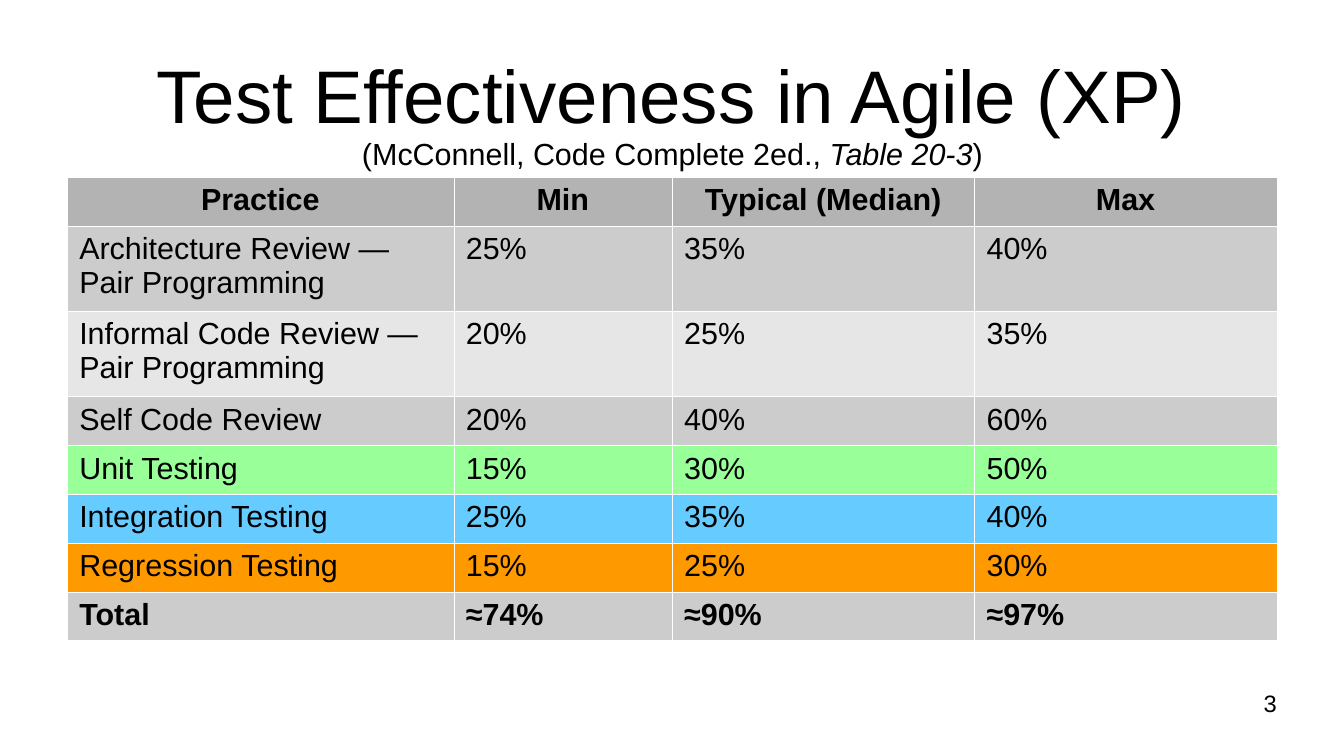
from lxml.etree import SubElement
from pptx import Presentation
from pptx.dml.color import RGBColor
from pptx.enum.text import MSO_ANCHOR, PP_ALIGN
from pptx.oxml.ns import qn
from pptx.util import Inches, Pt

FONT = "Arial"
BLACK = RGBColor(0x00, 0x00, 0x00)
HEADER_GRAY = RGBColor(0xB3, 0xB3, 0xB3)
GRAY = RGBColor(0xCC, 0xCC, 0xCC)
LIGHT_GRAY = RGBColor(0xE6, 0xE6, 0xE6)
GREEN = RGBColor(0x99, 0xFF, 0x99)
BLUE = RGBColor(0x66, 0xCC, 0xFF)
ORANGE = RGBColor(0xFF, 0x99, 0x00)
BORDER_HEX = "FFFFFF"
BORDER_WIDTH = Pt(0.06)

TITLE = "Test Effectiveness in Agile (XP)"
CITATION = [("(McConnell, Code Complete 2ed., ", False), ("Table 20-3", True), (")", False)]
PAGE_NUMBER = "3"

# fill, row height in inches, cell texts
ROWS = [
    (HEADER_GRAY, 0.4, ("Practice", "Min", "Typical (Median)", "Max")),
    (GRAY, 0.7, ("Architecture Review — Pair Programming", "25%", "35%", "40%")),
    (LIGHT_GRAY, 0.7, ("Informal Code Review — Pair Programming", "20%", "25%", "35%")),
    (GRAY, 0.4, ("Self Code Review", "20%", "40%", "60%")),
    (GREEN, 0.4, ("Unit Testing", "15%", "30%", "50%")),
    (BLUE, 0.4, ("Integration Testing", "25%", "35%", "40%")),
    (ORANGE, 0.4, ("Regression Testing", "15%", "25%", "30%")),
    (GRAY, 0.4, ("Total", "≈74%", "≈90%", "≈97%")),
]
COLUMN_WIDTHS = (3.17, 1.79, 2.48, 2.48)
LEFT, TABLE_TOP = 0.55, 1.45
CONTENT_WIDTH = sum(COLUMN_WIDTHS)


def add_text(slide, box, runs, size, align, inset=(0, 0), anchor=MSO_ANCHOR.TOP):
    """Add a one-paragraph text box; runs are (text, italic) pairs."""
    tf = slide.shapes.add_textbox(*map(Inches, box)).text_frame
    tf.word_wrap = True
    tf.vertical_anchor = anchor
    tf.margin_left = tf.margin_right = Inches(inset[0])
    tf.margin_top = tf.margin_bottom = Inches(inset[1])
    p = tf.paragraphs[0]
    p.alignment = align
    for text, italic in runs:
        r = p.add_run()
        r.text = text
        style_font(r.font, size)
        r.font.italic = italic


def style_font(font, size, bold=False):
    font.name = FONT
    font.size = Pt(size)
    font.bold = bold
    font.color.rgb = BLACK


def set_borders(cell):
    tc_pr = cell._tc.get_or_add_tcPr()
    for index, side in enumerate(("a:lnL", "a:lnR", "a:lnT", "a:lnB")):
        line = SubElement(tc_pr, qn(side), w=str(BORDER_WIDTH))
        fill = SubElement(line, qn("a:solidFill"))
        SubElement(fill, qn("a:srgbClr"), val=BORDER_HEX)
        tc_pr.insert(index, line)


def add_practice_table(slide):
    height = sum(row_height for _, row_height, _ in ROWS)
    table = slide.shapes.add_table(
        len(ROWS), len(COLUMN_WIDTHS), Inches(LEFT), Inches(TABLE_TOP),
        Inches(CONTENT_WIDTH), Inches(height)).table
    for column, width in zip(table.columns, COLUMN_WIDTHS):
        column.width = Inches(width)
    for i, (fill, row_height, texts) in enumerate(ROWS):
        table.rows[i].height = Inches(row_height)
        for cell, text in zip(table.rows[i].cells, texts):
            cell.fill.solid()
            cell.fill.fore_color.rgb = fill
            set_borders(cell)
            cell.text_frame.text = text
            p = cell.text_frame.paragraphs[0]
            p.alignment = PP_ALIGN.CENTER if i == 0 else PP_ALIGN.LEFT
            style_font(p.runs[0].font, 18, bold=i in (0, len(ROWS) - 1))


def main():
    prs = Presentation()
    prs.slide_width, prs.slide_height = Inches(11.02), Inches(6.2)
    s = prs.slides.add_slide(prs.slide_layouts[6])
    add_text(s, (LEFT, 0.25, CONTENT_WIDTH, 1.04), [(TITLE, False)], 44,
             PP_ALIGN.CENTER, anchor=MSO_ANCHOR.MIDDLE)
    add_practice_table(s)
    add_text(s, (2.87, 1.06, 5.44, 0.66), CITATION, 18, PP_ALIGN.LEFT, inset=(0.1, 0.05))
    add_text(s, (7.9, 5.65, 2.57, 0.43), [(PAGE_NUMBER, False)], 14, PP_ALIGN.RIGHT)
    prs.save("out.pptx")


if __name__ == "__main__":
    main()
